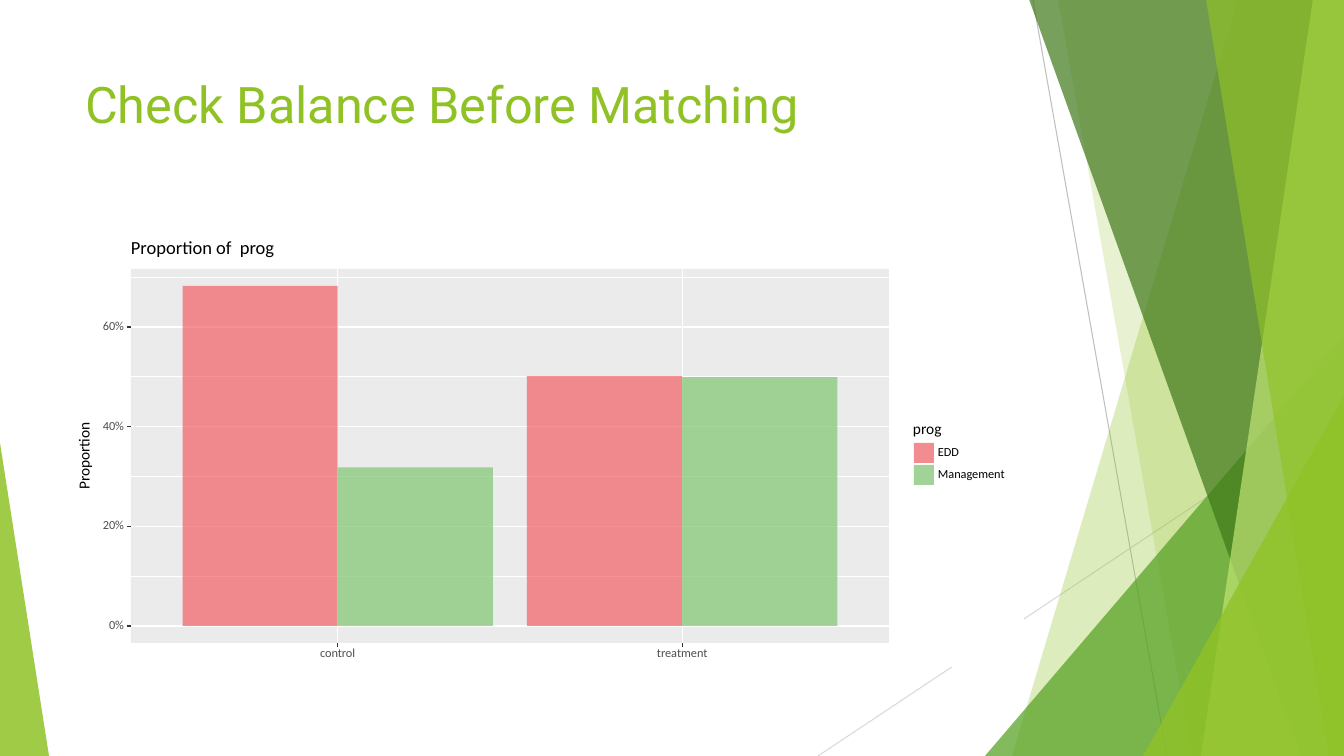
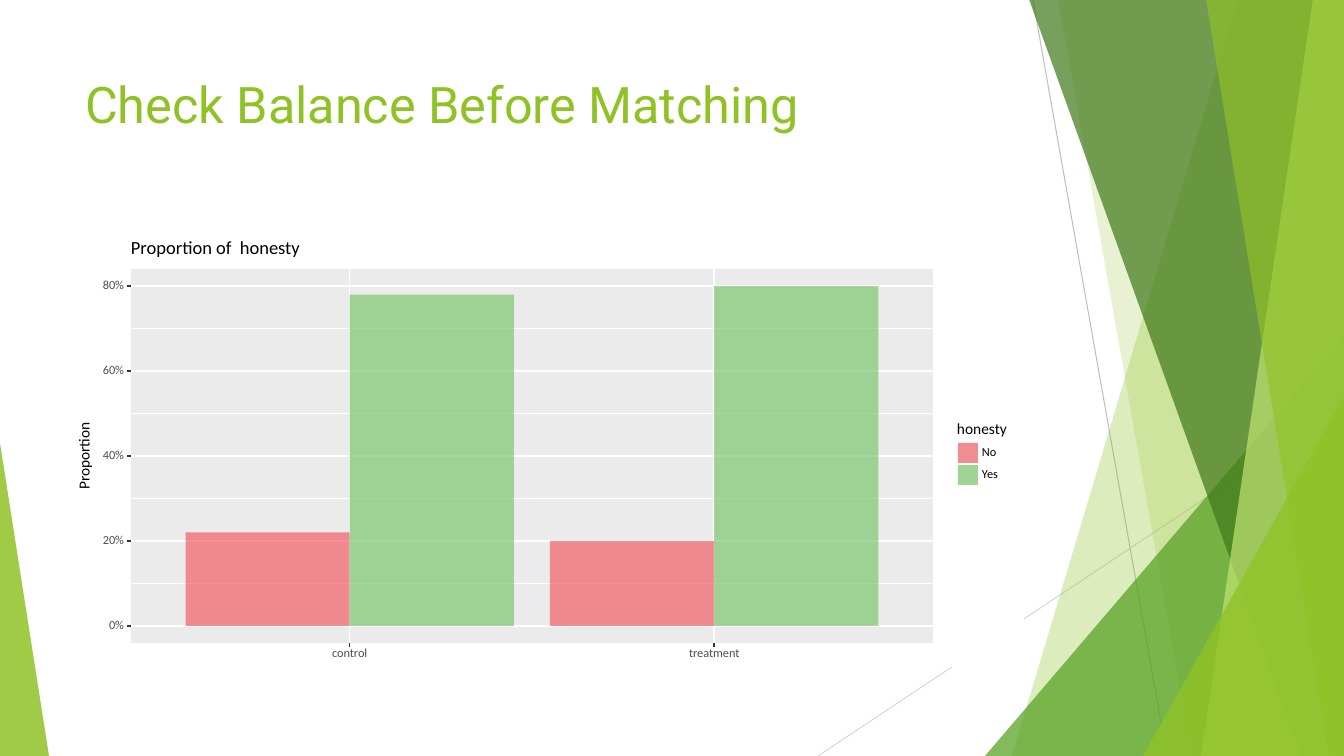
from lxml.etree import Element, SubElement
from pptx import Presentation
from pptx.chart.data import CategoryChartData
from pptx.dml.color import RGBColor
from pptx.enum.chart import XL_CHART_TYPE as ChartType
from pptx.enum.shapes import MSO_CONNECTOR as Connector, MSO_SHAPE as Preset
from pptx.enum.text import MSO_ANCHOR as Anchor, MSO_AUTO_SIZE as AutoSize, PP_ALIGN as Align
from pptx.oxml.ns import qn
from pptx.util import Pt

COLORS = {
    "lime": "90C226", "green": "54A021", "forest": "3F7819", "pale": "C0E474",
    "white": "FFFFFF", "panel": "EBEBEB", "key": "F2F2F2",
    "red": "F15A60", "leaf": "7AC36A",
    "black": "000000", "label": "4D4D4D", "tick": "333333",
    "gray": "BFBFBF", "silver": "D9D9D9",
}
WIDTH, HEIGHT = 1344, 756
EMU_PER_PIXEL = 914400 / 100.8
THIN, THICK = 0.53, 1.07
SERIES_COLORS = ("red", "leaf")
SERIES_ALPHA = 67


def emu(pixels):
    return round(pixels * EMU_PER_PIXEL)


def rgb(name):
    return RGBColor.from_string(COLORS[name])


def set_alpha(element, percent):
    for color in element.xpath("*[local-name()='spPr']/a:solidFill/a:srgbClr"):
        SubElement(color, qn("a:alpha"), val=str(percent * 1000))


class Deck:
    def __init__(self):
        self.presentation = Presentation()
        self.presentation.slide_width = emu(WIDTH)
        self.presentation.slide_height = emu(HEIGHT)
        self.layout = self.presentation.slide_layouts[5]
        self.slide = None

    def new_slide(self, title):
        self.slide = self.presentation.slides.add_slide(self.layout)
        shape = self.slide.shapes.title
        shape.left, shape.top, shape.width, shape.height = map(emu, (75, 68, 948, 145))
        frame = shape.text_frame
        frame.text = title
        frame.vertical_anchor = Anchor.TOP
        frame.auto_size = AutoSize.NONE
        self.format_text(frame.paragraphs[0], 36, "lime", Align.LEFT, "Roboto")

    def format_text(self, paragraph, size, color, align, font="Calibri"):
        paragraph.alignment = align
        paragraph.font.name = font
        paragraph.font.size = Pt(size)
        paragraph.font.color.rgb = rgb(color)

    def paint(self, shape, fill, alpha=100, line=None):
        shape.shadow.inherit = False
        shape.fill.solid()
        shape.fill.fore_color.rgb = rgb(fill)
        if alpha < 100:
            set_alpha(shape.element, alpha)
        if line:
            shape.line.color.rgb = rgb(line)
            shape.line.width = Pt(THICK)
        else:
            shape.line.fill.background()

    def box(self, left, top, width, height, fill, alpha=100, line=None, preset=Preset.RECTANGLE):
        shape = self.slide.shapes.add_shape(preset, *map(emu, (left, top, width, height)))
        self.paint(shape, fill, alpha, line)
        return shape

    def triangle(self, left, top, width, height, fill, alpha, apex):
        shape = self.box(left, top, width, height, fill, alpha, preset=Preset.ISOSCELES_TRIANGLE)
        shape.adjustments[0] = apex

    def band(self, top_x, bottom_x, fill, alpha):
        """Fill from a slanted left edge to the right side of the slide."""
        builder = self.slide.shapes.build_freeform(emu(top_x), emu(-1))
        corners = [(WIDTH, -1), (WIDTH, HEIGHT), (bottom_x, HEIGHT)]
        builder.add_line_segments([(emu(x), emu(y)) for x, y in corners])
        self.paint(builder.convert_to_shape(), fill, alpha)

    def line(self, x1, y1, x2, y2, color, width):
        connector = self.slide.shapes.add_connector(
            Connector.STRAIGHT, *map(emu, (x1, y1, x2, y2)))
        connector.line.color.rgb = rgb(color)
        connector.line.width = Pt(width)
        SubElement(connector.element.spPr, qn("a:effectLst"))

    def text(self, text, left, middle, width, size, color="black", align=Align.LEFT, rotation=0):
        height = 16
        shape = self.slide.shapes.add_textbox(
            *map(emu, (left, middle - height / 2, width, height)))
        shape.rotation = rotation
        frame = shape.text_frame
        frame.margin_left = frame.margin_right = frame.margin_top = frame.margin_bottom = 0
        frame.word_wrap = True
        frame.vertical_anchor = Anchor.MIDDLE
        frame.text = text
        paragraph = frame.paragraphs[0]
        paragraph.line_spacing = Pt(size)
        self.format_text(paragraph, size, color, align)

    def bars(self, left, top, width, height, categories, series, maximum):
        """Clustered columns that fill their frame, on a clear background."""
        data = CategoryChartData(number_format="0.0%")
        data.categories = categories
        for name, values in series.items():
            data.add_series(name, values)
        chart = self.slide.shapes.add_chart(
            ChartType.COLUMN_CLUSTERED, *map(emu, (left, top, width, height)), data).chart
        chart.has_title = chart.has_legend = False
        chart.font.name, chart.font.size = "Calibri", Pt(8.8)
        chart.font.color.rgb = rgb("label")
        axis = chart.value_axis
        axis.minimum_scale, axis.maximum_scale = 0, maximum
        axis.has_major_gridlines = False
        axis.visible = chart.category_axis.visible = False
        plot = chart.plots[0]
        plot.gap_width, plot.overlap, plot.vary_by_categories = 22, 0, False
        for item, element, color in zip(plot.series, chart.element.xpath(".//c:ser"), SERIES_COLORS):
            item.format.fill.solid()
            item.format.fill.fore_color.rgb = rgb(color)
            set_alpha(element, SERIES_ALPHA)

        # Clear background and full-frame plot area
        area = chart.element.xpath("c:chart/c:plotArea")[0]
        for old in area.xpath("c:layout"):
            area.remove(old)
        layout = Element(qn("c:layout"))
        manual = SubElement(layout, qn("c:manualLayout"))
        settings = {"layoutTarget": "inner", "xMode": "edge", "yMode": "edge",
                    "x": "0", "y": "0", "w": "1", "h": "1"}
        for tag, value in settings.items():
            SubElement(manual, qn(f"c:{tag}"), val=value)
        area.insert(0, layout)
        for previous in (area[-1], area.getparent()):
            properties = Element(qn("c:spPr"))
            SubElement(properties, qn("a:noFill"))
            SubElement(SubElement(properties, qn("a:ln")), qn("a:noFill"))
            previous.addnext(properties)

    def decorate_layout(self):
        """Draw the green facets, then move them to the shared layout."""
        self.line(1033, 0, 1167, HEIGHT, "gray", 0.75)
        self.line(WIDTH, 406, 818, HEIGHT, "silver", 0.75)
        self.band(1238, 1012, "lime", 30)
        self.band(1058, 1192, "lime", 20)
        self.triangle(985, 336, 359, 420, "green", 72, apex=1)
        self.band(1029, 1301, "forest", 70)
        self.band(1313, 1201, "pale", 70)
        self.band(1206, 1329, "lime", 65)
        self.triangle(1143, 396, 201, 360, "lime", 80, apex=1)
        self.triangle(0, 443, 49, 313, "lime", 85, apex=0)
        for shape in list(self.slide.shapes):
            if not shape.is_placeholder:
                self.layout.shapes.element.append(shape.element)

    def balance_chart(self, variable, series, panel_width, top, steps):
        """Proportions by group; each step up from the zero line is 10%."""
        left, panel_top, bottom, zero = 131, 269, 643, 626
        right = left + panel_width
        step = (zero - top) / steps
        unit = panel_width / 2.2
        groups = {"control": left + 0.6 * unit, "treatment": left + 1.6 * unit}

        # Panel and grid
        self.box(75, 238, 948, 428, "white", line="white")
        self.box(left, panel_top, panel_width, bottom - panel_top, "panel")
        for first, weight in ((1, THIN), (0, THICK)):
            for index in range(first, steps + 1, 2):
                y = zero - index * step
                self.line(left, y, right, y, "white", weight)
        for x in groups.values():
            self.line(x, panel_top, x, bottom, "white", THICK)

        # Bars
        self.bars(left + 0.1 * unit, top, 2 * unit, zero - top,
                  list(groups), series, steps / 10)

        # Axis ticks and labels
        for index in range(0, steps + 1, 2):
            y = zero - index * step
            self.line(left - 4, y, left, y, "tick", THICK)
            self.text(f"{index * 10}%", 84, y, 40, 8.8, "label", Align.RIGHT)
        for name, x in groups.items():
            self.line(x, bottom, x, bottom + 4, "tick", THICK)
            self.text(name, x - 50, 654, 100, 8.8, "label", Align.CENTER)
        self.text("Proportion", 35, 456, 100, 11, align=Align.CENTER, rotation=270)

        # Legend and heading
        legend = right + 24
        self.text(variable, legend, 430, 80, 11)
        for index, (name, color) in enumerate(zip(series, SERIES_COLORS)):
            y = 442 + 22 * index
            self.box(legend, y, 22, 22, "key", line="white")
            self.box(legend + 1, y + 1, 20, 20, color, SERIES_ALPHA)
            self.text(name, legend + 25, y + 11, 80, 8.8)
        self.text(f"Proportion of  {variable}", left, 249, 300, 13.2)


deck = Deck()
TITLE = "Check Balance Before Matching"

# Slide 1: programme
deck.new_slide(TITLE)
deck.decorate_layout()
deck.balance_chart("prog", {"EDD": (0.682, 0.501), "Management": (0.318, 0.499)},
                   panel_width=758, top=277, steps=7)

# Slide 2: honesty
deck.new_slide(TITLE)
deck.balance_chart("honesty", {"No": (0.22, 0.2), "Yes": (0.78, 0.8)},
                   panel_width=802, top=286, steps=8)

deck.presentation.save("out.pptx")
